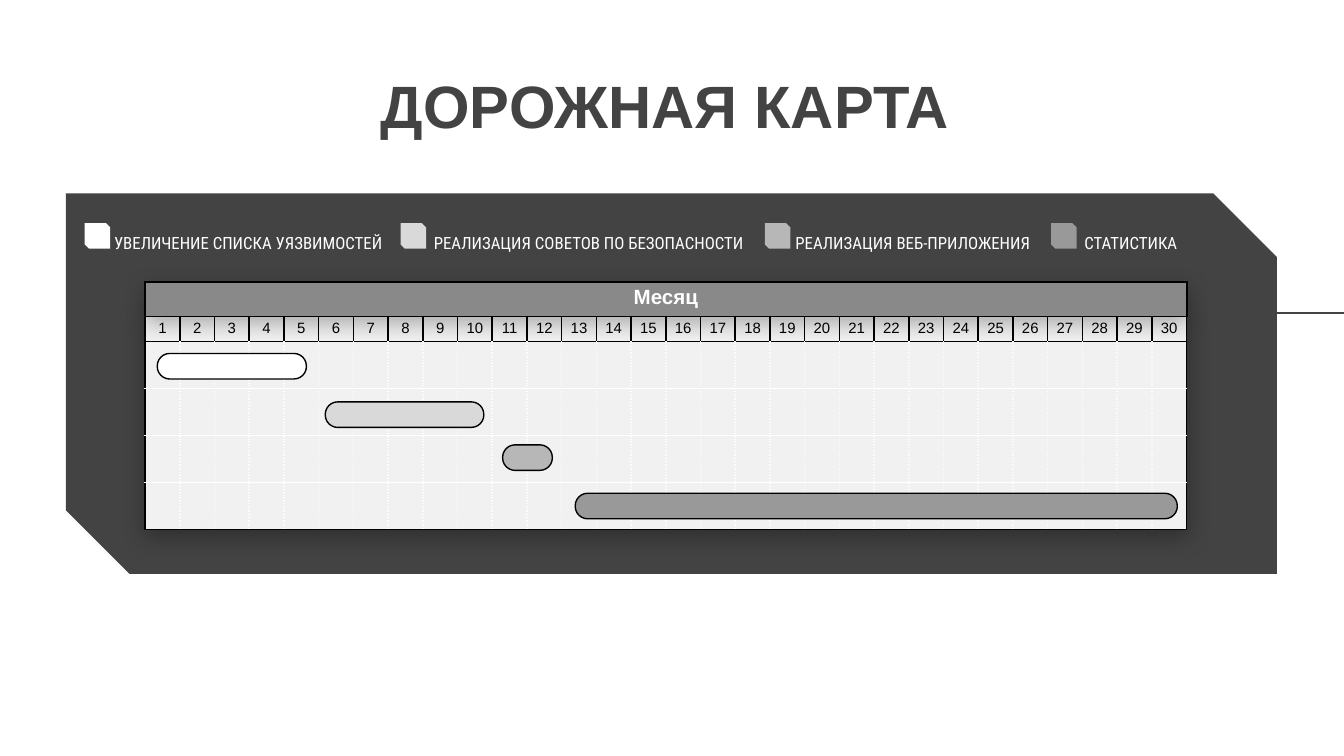
from dataclasses import dataclass

from lxml import etree
from pptx import Presentation
from pptx import util as u
from pptx.dml.color import RGBColor
from pptx.enum import shapes as es, text as et
from pptx.oxml import ns

DARK, PALE, WHITE, BLACK = "434343", "F1F1F1", "FFFFFF", "000000"
MONTHS, ROWS = 30, 4
LEFT, WIDTH = 1.08, 7.75
HEAD, ROW = 0.2, 0.35
SIDES = ("L", "R", "T", "B")


@dataclass
class Stage:
    name: str
    color: str
    mark: float   # left of the legend mark
    label: float  # left of the legend label
    wide: float   # width of the legend label
    bar: tuple    # left, top and width of the bar


STAGES = [
    Stage("УВЕЛИЧЕНИЕ СПИСКА УЯЗВИМОСТЕЙ", WHITE, 0.63, 0.75, 2.42, (1.17, 2.63, 1.11)),
    Stage("РЕАЛИЗАЦИЯ СОВЕТОВ ПО БЕЗОПАСНОСТИ", "D9D9D9", 2.98, 3.13, 2.53, (2.42, 2.99, 1.18)),
    Stage("РЕАЛИЗАЦИЯ ВЕБ-ПРИЛОЖЕНИЯ", "B7B7B7", 5.69, 5.82, 2, (3.74, 3.31, 0.37)),
    Stage("СТАТИСТИКА", "999999", 7.82, 7.97, 1.04, (4.28, 3.67, 4.48)),
]


def rgb(code: str) -> RGBColor:
    return RGBColor.from_string(code)


def box(*nums: float) -> list:
    return [u.Inches(n) for n in nums]


def format_all(item, values: dict) -> None:
    for key, value in values.items():
        setattr(item, key, value)


def pads(left: float, top: float, right: float, bottom: float) -> dict:
    keys = ("margin_left", "margin_top", "margin_right", "margin_bottom")
    return dict(zip(keys, box(left, top, right, bottom)))


def write(frame, words: str, color: str, align=None, **look) -> None:
    par = frame.paragraphs[0]
    par.alignment = align
    run = par.add_run()
    run.text = words
    format_all(run.font, look)
    run.font.color.rgb = rgb(color)


def draw(slide, kind, area: list, fill: str, adjust: list, line: str = "") -> None:
    item = slide.shapes.add_shape(kind, *area)
    item.shadow.inherit = False
    item.fill.solid()
    item.fill.fore_color.rgb = rgb(fill)
    for i, value in enumerate(adjust):
        item.adjustments[i] = value
    if line:
        item.line.color.rgb = rgb(line)
        item.line.width = u.Pt(0.75)
    else:
        item.line.fill.background()


def node(parent, tag: str, **attrs: str):
    return etree.SubElement(parent, ns.qn(tag), attrs)


def style_cell(cell, fill: str, edges: dict) -> None:
    """Edges map a side to a colour and a dash."""
    props = cell._tc.get_or_add_tcPr()
    for side in SIDES:
        color, dash = edges[side]
        line = node(props, f"a:ln{side}", w=str(u.Pt(1)))
        node(node(line, "a:solidFill"), "a:srgbClr", val=color)
        node(line, "a:prstDash", val=dash)
    cell.fill.solid()
    cell.fill.fore_color.rgb = rgb(fill)


def add_grid(slide, rows: int, cols: int, area: list):
    table = slide.shapes.add_table(rows, cols, *area).table
    format_all(table, {"first_row": False, "horz_banding": False})
    # Soft shadow below the table
    props = table._tbl.tblPr
    effects = node(props, "a:effectLst")
    props.insert(0, effects)
    shade = node(effects, "a:outerShdw", blurRad=str(u.Pt(12)), dist=str(u.Pt(3)),
                 dir="5400000", algn="t", rotWithShape="0")
    node(node(shade, "a:srgbClr", val=BLACK), "a:alpha", val="30000")
    return table


def edges_at(row: int, col: int) -> dict:
    solid, white, dots = (BLACK, "solid"), (WHITE, "solid"), (WHITE, "sysDot")
    if row == 0:
        return dict.fromkeys(SIDES, solid)
    return {
        "L": solid if col == 0 else dots,
        "R": solid if col == MONTHS - 1 else dots,
        "T": solid if row == 1 else white,
        "B": solid if row == ROWS else white,
    }


def add_months(slide) -> None:
    area = box(LEFT, 2.34, WIDTH, HEAD + ROWS * ROW)
    table = add_grid(slide, ROWS + 1, MONTHS, area)
    look = pads(0, 0, 0, 0) | {"vertical_anchor": et.MSO_ANCHOR.MIDDLE}
    for r, row in enumerate(table.rows):
        row.height = u.Inches(ROW if r else HEAD)
        for c, cell in enumerate(row.cells):
            format_all(cell, look)
            style_cell(cell, PALE, edges_at(r, c))
            if r == 0:
                write(cell.text_frame, str(c + 1), BLACK, et.PP_ALIGN.CENTER,
                      size=u.Pt(8), name="Arial")


def add_banner(slide) -> None:
    cell = add_grid(slide, 1, 1, box(LEFT, 2.1, WIDTH, 0.25)).cell(0, 0)
    format_all(cell, pads(0.07, 0.03, 0.07, 0.04))
    style_cell(cell, "898989", dict.fromkeys(SIDES, (BLACK, "solid")))
    write(cell.text_frame, "Месяц", WHITE, et.PP_ALIGN.CENTER,
          size=u.Pt(11), name="Arial", bold=True)


def add_legend(slide, stage: Stage) -> None:
    draw(slide, es.MSO_SHAPE.SNIP_2_DIAG_RECTANGLE, box(stage.mark, 1.66, 0.19, 0.19),
         stage.color, [0, 0.167])
    frame = slide.shapes.add_textbox(*box(stage.label, 1.6, stage.wide, 0.34)).text_frame
    format_all(frame, pads(0.1, 0.13, 0.1, 0.05) | {"word_wrap": True})
    write(frame, stage.name, WHITE, size=u.Pt(9), name="Roboto Condensed")


def main() -> None:
    deck = Presentation()
    deck.slide_width = u.Inches(10)
    deck.slide_height = deck.slide_width * 9 // 16
    slide = deck.slides.add_slide(deck.slide_layouts[5])

    # Title
    title = slide.shapes.title
    format_all(title, dict(zip(("left", "top", "width", "height"), box(2.1, 0.41, 5.7, 1.03))))
    format_all(title.text_frame, pads(0.1, 0.1, 0.1, 0.1) | {
        "vertical_anchor": et.MSO_ANCHOR.TOP, "word_wrap": True,
        "auto_size": et.MSO_AUTO_SIZE.NONE})
    write(title.text_frame, "ДОРОЖНАЯ КАРТА", DARK, et.PP_ALIGN.CENTER,
          size=u.Pt(32), name="Arial", bold=True)

    # Line to the slide edge, then the panel over it
    line = slide.shapes.add_connector(es.MSO_CONNECTOR.STRAIGHT, *box(7.71, 2.33, 10, 2.33))
    line.line.color.rgb = rgb(DARK)
    line.line.width = u.Pt(0.75)
    node(line._element.spPr, "a:effectLst")
    draw(slide, es.MSO_SHAPE.SNIP_2_DIAG_RECTANGLE, box(0.49, 1.44, 9.01, 2.83),
         DARK, [0, 0.167])

    # Legend
    for stage in STAGES:
        add_legend(slide, stage)

    # Calendar
    add_months(slide)
    add_banner(slide)

    # Bars
    for stage in STAGES:
        draw(slide, es.MSO_SHAPE.ROUNDED_RECTANGLE, box(*stage.bar, 0.19),
             stage.color, [0.487], BLACK)

    deck.save("out.pptx")


if __name__ == "__main__":
    main()
